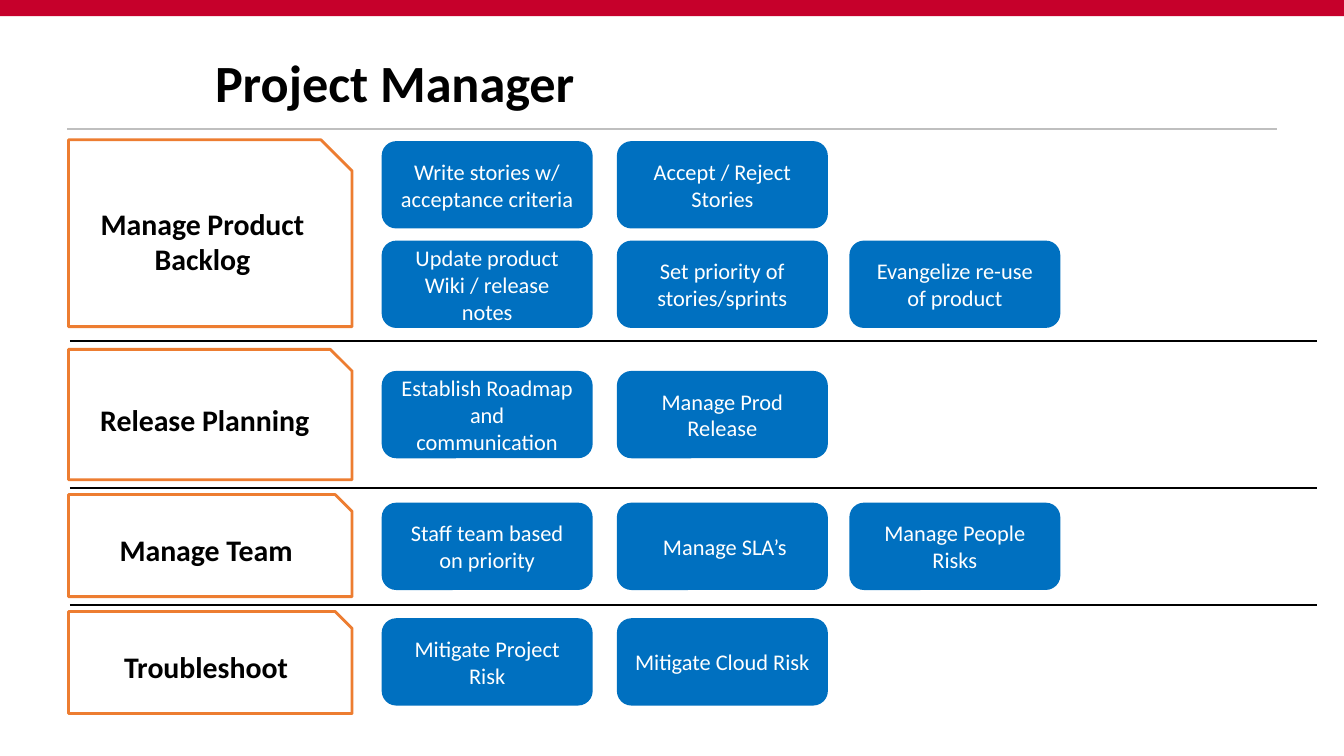
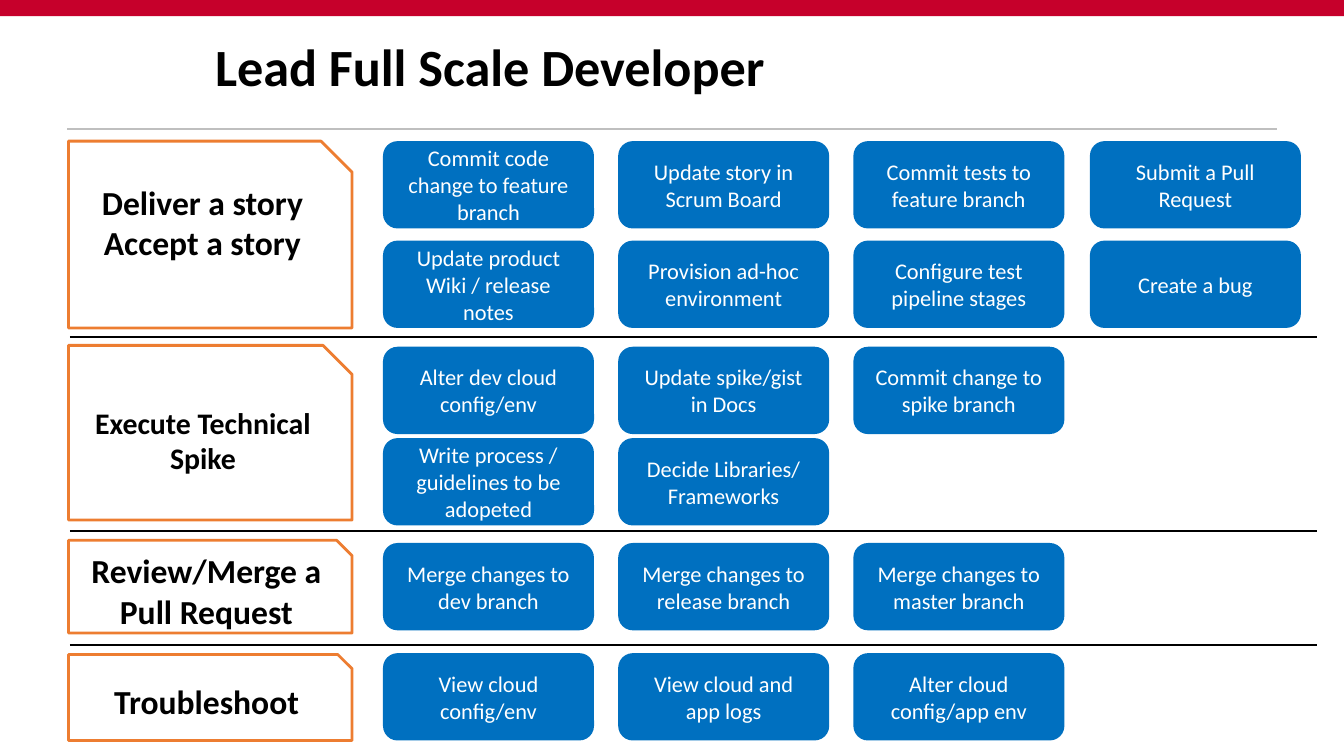
from dataclasses import dataclass

from lxml import etree
from pptx import Presentation
from pptx.dml.color import RGBColor
from pptx.enum import shapes, text
from pptx.oxml.ns import qn
from pptx.util import Inches, Pt


@dataclass(frozen=True)
class Theme:
    font: str = "Calibri"
    band: str = "C6002B"
    title_rule: str = "BFBFBF"
    accent: str = "ED7D31"
    task: str = "0070C0"
    dark: str = "000000"
    light: str = "FFFFFF"
    title_size: int = 28
    task_size: int = 12


theme = Theme()
rgb = RGBColor.from_string
TASK_WIDTH, TASK_HEIGHT = 1.57, 0.65
LABEL_LEFT, LABEL_WIDTH = 0.51, 2.11

# Sections: label, type size, top, height, rows of tasks as (top, names)
roles = [
    {
        "title": "Project Manager", "title_at": (1.5, 0.25, 8, 0.77),
        "columns": (2.84, 4.59, 6.32), "dividers": (2.54, 3.63, 4.5),
        "sections": [
            ("Manage Product Backlog", 16, 1.04, 1.39, [
                (1.05, ["Write stories w/ acceptance criteria", "Accept / Reject Stories"]),
                (1.79, ["Update product Wiki / release notes", "Set priority of stories/sprints",
                        "Evangelize re-use of product"])]),
            ("Release Planning", 16, 2.6, 0.97, [
                (2.76, ["Establish Roadmap and communication", "Manage Prod Release"])]),
            ("Manage Team", 16, 3.68, 0.76, [
                (3.74, ["Staff team based on priority", " Manage SLA’s", "Manage People Risks"])]),
            ("Troubleshoot", 16, 4.55, 0.76, [
                (4.6, ["Mitigate Project Risk", "Mitigate Cloud Risk"])]),
        ],
    },
    {
        "title": "Lead Full Scale Developer", "title_at": (1.5, 0.13, 8.5, 0.77),
        "columns": (2.85, 4.6, 6.35, 8.11), "dividers": (2.51, 3.95, 4.8),
        "sections": [
            ("Deliver a story\nAccept a story", 18, 1.05, 1.39, [
                (1.05, ["Commit code change to feature branch", "Update story in Scrum Board",
                        "Commit tests to feature branch", "Submit a Pull Request"]),
                (1.79, ["Update product Wiki / release notes", "Provision ad-hoc environment",
                        "Configure test pipeline stages", "Create a bug"])]),
            ("Execute Technical Spike", 16, 2.57, 1.3, [
                (2.58, ["Alter dev cloud config/env", "Update spike/gist in Docs",
                        "Commit change to spike branch"]),
                (3.26, ["Write process / guidelines to be adopeted",
                        "Decide Libraries/\nFrameworks"])]),
            ("Review/Merge a Pull Request", 18, 4.02, 0.69, [
                (4.04, ["Merge changes to dev branch", "Merge changes to release branch",
                        "Merge changes to master branch"])]),
            ("Troubleshoot", 18, 4.87, 0.64, [
                (4.86, ["View cloud config/env", "View cloud and app logs",
                        "Alter cloud config/app env"])]),
        ],
    },
]


def add_box(page, kind, place, fill, outline=None, words="", size=12, color=theme.light, bold=False):
    box = page.shapes.add_shape(kind, *map(Inches, place))
    box.shadow.inherit = False
    box.fill.solid()
    box.fill.fore_color.rgb = rgb(fill)
    if outline:
        box.line.color.rgb = rgb(outline)
        box.line.width = Pt(1.5)
    else:
        box.line.fill.background()
    frame = box.text_frame
    frame.text = words
    frame.word_wrap = True
    frame.vertical_anchor = text.MSO_ANCHOR.MIDDLE
    for para in frame.paragraphs:
        para.alignment = text.PP_ALIGN.CENTER
        for span in para.runs:
            span.font.name = theme.font
            span.font.size = Pt(size)
            span.font.bold = bold
            span.font.color.rgb = rgb(color)
    return box


def add_rule(page, left, right, top, color):
    rule = page.shapes.add_connector(
        shapes.MSO_CONNECTOR.STRAIGHT, Inches(left), Inches(top), Inches(right), Inches(top))
    rule.line.color.rgb = rgb(color)
    rule.line.width = Pt(1)
    etree.SubElement(rule._element.spPr, qn("a:effectLst"))


# Widescreen 16:9 page
deck = Presentation()
deck.slide_width = Inches(10)
deck.slide_height = Inches(10) * 9 // 16

for role in roles:
    page = deck.slides.add_slide(deck.slide_layouts[5])

    # Top band and title rule
    add_rule(page, 0.5, 9.5, 0.96, theme.title_rule)
    add_box(page, shapes.MSO_SHAPE.RECTANGLE, (0, 0, 10, 0.12), theme.band)

    # Title
    title = page.shapes.title
    title.left, title.top, title.width, title.height = map(Inches, role["title_at"])
    frame = title.text_frame
    frame.text = role["title"]
    frame.auto_size = text.MSO_AUTO_SIZE.NONE
    frame.vertical_anchor = text.MSO_ANCHOR.MIDDLE
    para = frame.paragraphs[0]
    para.alignment = text.PP_ALIGN.LEFT
    para.line_spacing = 0.9
    font = para.runs[0].font
    font.name, font.size, font.bold = theme.font, Pt(theme.title_size), True
    font.color.rgb = rgb(theme.dark)

    # Section labels with their tasks
    for label, size, top, height, rows in role["sections"]:
        label_box = add_box(
            page, shapes.MSO_SHAPE.SNIP_1_RECTANGLE, (LABEL_LEFT, top, LABEL_WIDTH, height),
            theme.light, theme.accent, label, size, theme.dark, True)
        if "\n" in label:
            label_box.text_frame.margin_bottom = Inches(0.35)  # lifts the two lines
        for row_top, names in rows:
            for left, name in zip(role["columns"], names):
                add_box(page, shapes.MSO_SHAPE.ROUNDED_RECTANGLE,
                        (left, row_top, TASK_WIDTH, TASK_HEIGHT),
                        theme.task, words=name, size=theme.task_size)

    # Dividers between sections
    for top in role["dividers"]:
        add_rule(page, 0.52, 9.8, top, theme.dark)

deck.save("out.pptx")
